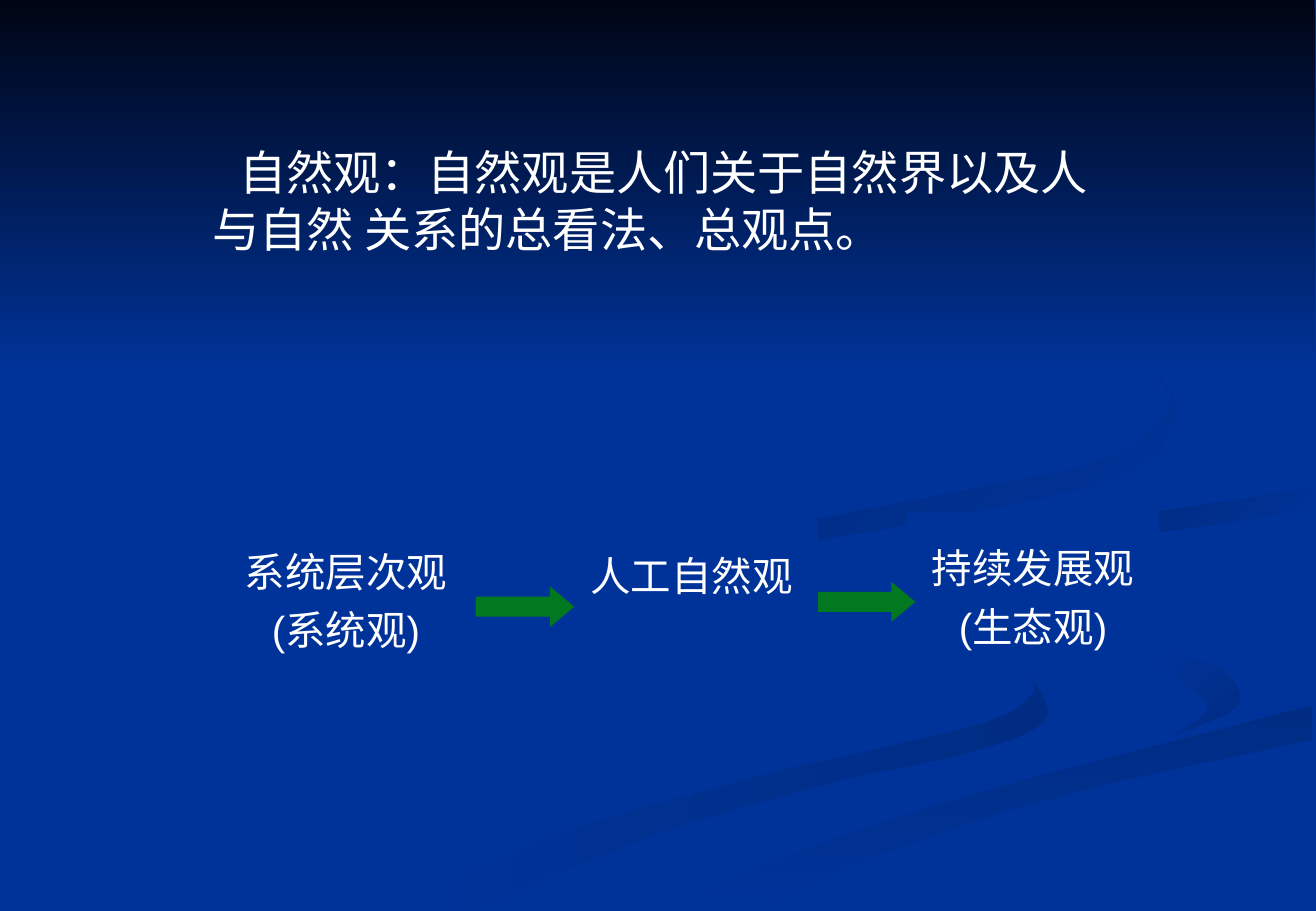
"""Slide defining the view of nature and its three stages."""
from dataclasses import dataclass

from pptx import Presentation, util as u
from pptx.dml.color import RGBColor
from pptx.enum import shapes, text

PX = 9144


@dataclass(frozen=True)
class Theme:
    """Colours, fonts and type sizes."""
    ground: str = "003399"
    night: str = "000514"
    ribbon: str = "002C83"
    arrow: str = "027821"
    ink: str = "FFFFFF"
    definition_font: str = "Times New Roman"
    stage_font: str = "Arial"
    definition_size: int = 28
    stage_size: int = 24


def smooth(edge, steps=6):
    """Return points of a smooth curve through the points of an edge."""
    padded = [edge[0], *edge, edge[-1]]
    curve = []
    for a, b, c, d in zip(padded, padded[1:], padded[2:], padded[3:]):
        for step in range(steps):
            t = step / steps
            curve.append(tuple(
                round(q + t / 2 * (r - p + t * (2 * p - 5 * q + 4 * r - s
                                               + t * (3 * q - 3 * r + s - p))))
                for p, q, r, s in zip(a, b, c, d)))
    return curve + [edge[-1]]


class SlideBuilder:
    """Draws styled elements on the current slide."""

    def __init__(self, slide, theme):
        self.slide = slide
        self.theme = theme

    def background(self):
        """Fill the slide ground."""
        self.paint(self.slide.background.fill, self.theme.ground)

    def paint(self, fill, color):
        """Apply a solid colour."""
        fill.solid()
        fill.fore_color.rgb = RGBColor.from_string(color)

    def finish(self, shape, color):
        """Give a shape a flat fill without line or shadow."""
        shape.shadow.inherit = False
        shape.line.fill.background()
        self.paint(shape.fill, color)

    def fade(self, shape, colors, angle):
        """Apply a two-colour gradient, angle clockwise."""
        shape.shadow.inherit = False
        shape.line.fill.background()
        shape.fill.gradient()
        shape.fill.gradient_angle = -angle % 360
        for stop, color, position in zip(shape.fill.gradient_stops, colors, (0, 1)):
            stop.color.rgb = RGBColor.from_string(color)
            stop.position = position

    def ribbon(self, outer, inner, colors, angle):
        """Draw a faded ribbon between two smooth edges."""
        points = smooth(outer) + smooth(inner)
        builder = self.slide.shapes.build_freeform(*points[0], scale=PX)
        builder.add_line_segments(points[1:], close=True)
        self.fade(builder.convert_to_shape(), colors, angle)

    def shape(self, kind, box, color):
        """Add a flat preset shape."""
        shape = self.slide.shapes.add_shape(kind, *(v * PX for v in box))
        self.finish(shape, color)
        return shape

    def style(self, paragraph, font, size):
        """Format the runs of a paragraph."""
        for run in paragraph.runs:
            run.font.name = font
            run.font.size = u.Pt(size)
            run.font.color.rgb = RGBColor.from_string(self.theme.ink)

    def definition(self, box, wording, margin, indent):
        """Add the wrapped definition with a first-line indent."""
        frame = self.slide.shapes.add_textbox(*(v * PX for v in box)).text_frame
        frame.word_wrap = True
        frame.margin_left = margin * PX
        frame.text = wording
        sentence = frame.paragraphs[0]
        sentence._p.get_or_add_pPr().set("indent", str(indent * PX))
        self.style(sentence, self.theme.definition_font, self.theme.definition_size)

    def stage(self, box, wording, margin):
        """Add one stage with centred lines."""
        frame = self.shape(shapes.MSO_SHAPE.RECTANGLE, box, self.theme.ground).text_frame
        frame.word_wrap = False
        frame.vertical_anchor = text.MSO_ANCHOR.TOP
        frame.margin_top = margin * PX
        frame.text = wording
        for index, line in enumerate(frame.paragraphs):
            line.alignment = text.PP_ALIGN.CENTER
            line.space_before = u.Pt(6 if index else 0)
            self.style(line, self.theme.stage_font, self.theme.stage_size)

    def arrow(self, box):
        """Add an arrow between two stages."""
        arrow = self.shape(shapes.MSO_SHAPE.RIGHT_ARROW, box, self.theme.arrow)
        arrow.adjustments[0] = 0.5
        arrow.adjustments[1] = 0.6


THEME = Theme()
RISING = (THEME.ground, THEME.ribbon)
FALLING = (THEME.ribbon, THEME.ground)

RIBBONS = [
    ([(847, 553), (849, 574), (801, 598), (627, 639), (452, 690), (325, 749)],
     [(391, 749), (540, 687), (675, 647), (802, 618), (861, 592), (847, 553)],
     RISING, 0),
    ([(955, 534), (1008, 553), (1019, 581), (968, 605)],
     [(968, 605), (995, 581), (955, 549)], RISING, 45),
    ([(545, 749), (682, 693), (828, 647), (1081, 581)],
     [(1081, 609), (889, 651), (726, 702), (619, 749)], FALLING, 90),
    ([(955, 421), (1081, 402)], [(1081, 420), (955, 438)], FALLING, 45),
    ([(953, 307), (968, 344), (926, 391), (801, 421), (674, 445)],
     [(674, 427), (794, 404), (912, 378), (963, 335), (953, 307)], FALLING, 45),
]

STAGES = [
    ((181, 425, 208, 136), "系统层次观\n(系统观)", 25),
    ((465, 424, 209, 136), "人工自然观", 30),
    ((747, 422, 208, 136), "持续发展观\n(生态观)", 25),
]
ARROWS = [(392, 483, 81, 33), (674, 479, 80, 33)]


def main():
    """Build and save the slide."""
    deck = Presentation()
    deck.slide_width, deck.slide_height = 1084 * PX, 750 * PX
    page = SlideBuilder(deck.slides.add_slide(deck.slide_layouts[6]), THEME)
    page.background()
    for ribbon in RIBBONS:
        page.ribbon(*ribbon)
    sky = page.shape(shapes.MSO_SHAPE.RECTANGLE, (0, 0, 1083, 308), THEME.night)
    page.fade(sky, (THEME.night, THEME.ground), 90)
    page.definition((84, 113, 860, 495),
                    "自然观：自然观是人们关于自然界以及人与自然 关系的总看法、总观点。",
                    margin=91, indent=22)
    for stage in STAGES:
        page.stage(*stage)
    for arrow in ARROWS:
        page.arrow(arrow)
    deck.save("out.pptx")


if __name__ == "__main__":
    main()
